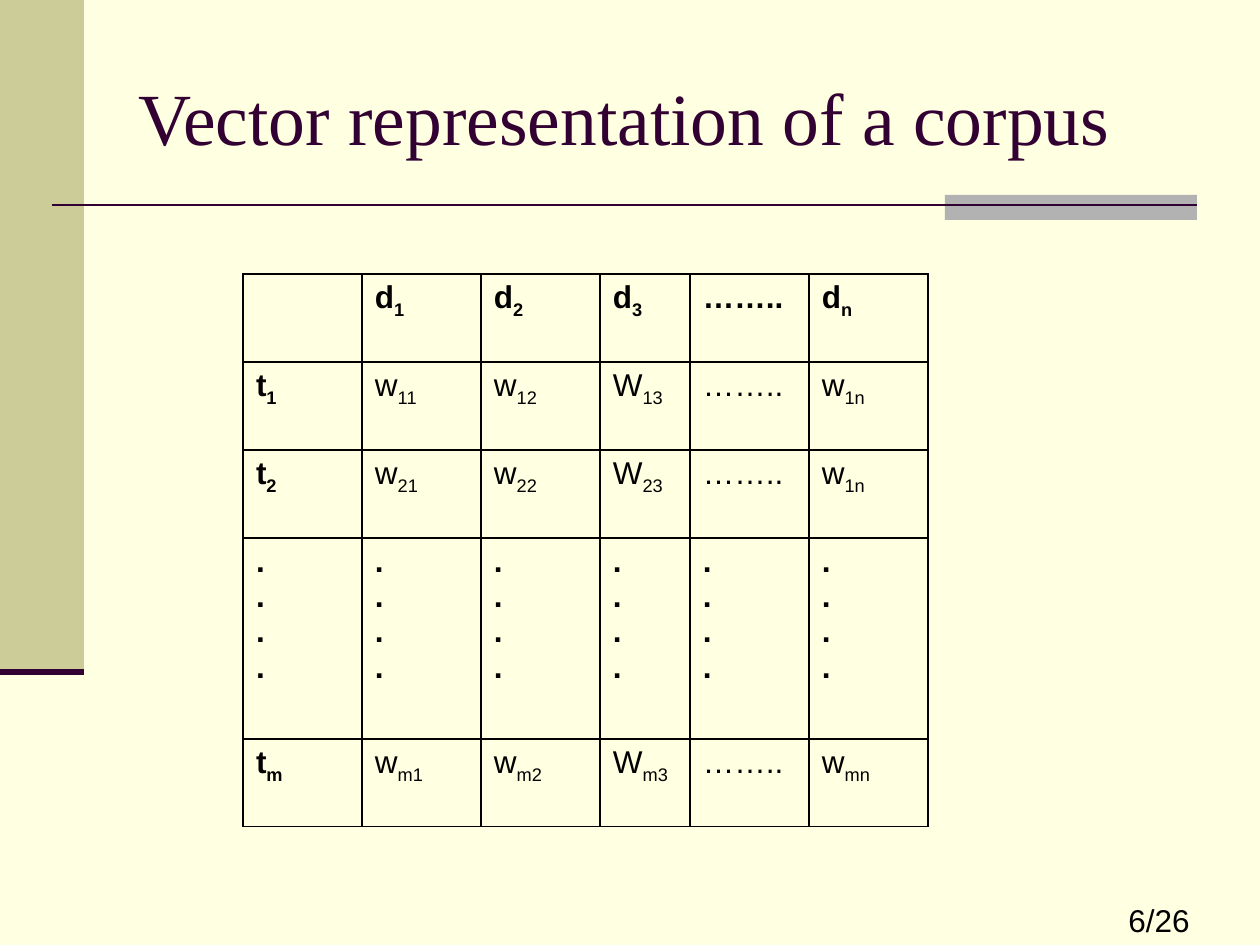
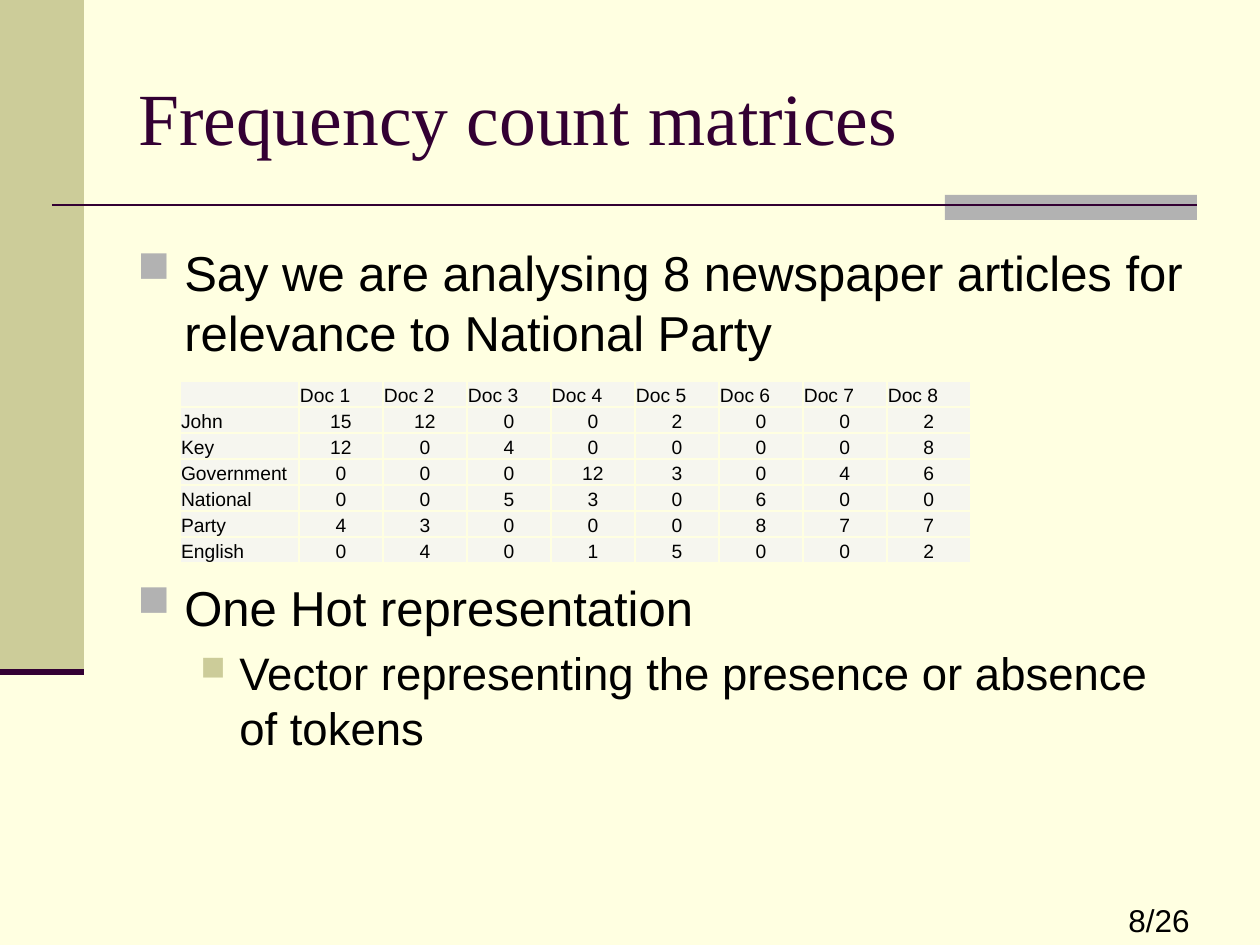
from dataclasses import dataclass
from lxml import etree
from pptx import Presentation
from pptx.dml.color import RGBColor
from pptx.enum.shapes import MSO_CONNECTOR, MSO_SHAPE
from pptx.enum.text import MSO_ANCHOR, PP_ALIGN
from pptx.oxml.ns import qn
from pptx.util import Pt

STRAIGHT = MSO_CONNECTOR.STRAIGHT
RECTANGLE = MSO_SHAPE.RECTANGLE
MIDDLE = MSO_ANCHOR.MIDDLE
TOP = MSO_ANCHOR.TOP
BOTTOM = MSO_ANCHOR.BOTTOM
CENTER = PP_ALIGN.CENTER
EMU_PER_PX = 914400 / 126


@dataclass(frozen=True)
class Theme:
    background: str = "FFFFE1"
    olive: str = "CCCC99"
    grey: str = "B2B2B2"
    plum: str = "330033"
    black: str = "000000"
    cell: str = "F6F6EF"
    title_font: str = "Times New Roman"
    body_font: str = "Arial"
    title_size: int = 42
    body_size: int = 28
    sub_size: int = 26
    label_size: int = 18
    count_size: int = 11


theme = Theme()


def px(length):
    return round(length * EMU_PER_PX)


def add_grid(slide, left, top, columns, rows, contents, size, border, fill, margins, anchor):
    frame = slide.shapes.add_table(len(rows), len(columns), px(left), px(top),
                                   px(sum(columns)), px(sum(rows)))
    table = frame.table
    table.first_row = False
    table.horz_banding = False
    for column, width in zip(table.columns, columns):
        column.width = px(width)
    for row, height, texts in zip(table.rows, rows, contents):
        row.height = px(height)
        for cell, text in zip(row.cells, texts):
            cell.margin_left, cell.margin_top, cell.margin_right, cell.margin_bottom = map(px, margins)
            cell.vertical_anchor = anchor
            properties = cell._tc.get_or_add_tcPr()
            for side in ("lnL", "lnR", "lnT", "lnB"):
                line = etree.SubElement(properties, qn(f"a:{side}"), w=str(Pt(1)))
                solid = etree.SubElement(line, qn("a:solidFill"))
                etree.SubElement(solid, qn("a:srgbClr"), val=border)
            if fill:
                cell.fill.solid()
                cell.fill.fore_color.rgb = RGBColor.from_string(fill)
            else:
                cell.fill.background()
            for index, line_text in enumerate(text.split("\n")):
                text_frame = cell.text_frame
                paragraph = text_frame.add_paragraph() if index else text_frame.paragraphs[0]
                base, _, subscript = line_text.partition("_")
                if base:
                    paragraph.add_run().text = base
                else:
                    etree.SubElement(paragraph._p, qn("a:endParaRPr"), sz=str(size * 100))
                if subscript:
                    run = paragraph.add_run()
                    run.text = subscript
                    run._r.get_or_add_rPr().set("baseline", "-25000")
                paragraph.font.size = Pt(size)
                paragraph.font.name = theme.body_font
                paragraph.font.color.rgb = RGBColor.from_string(theme.black)
    return table


presentation = Presentation()
presentation.slide_width = px(1260)
presentation.slide_height = px(945)

bands = [(0, 0, 84, 672, theme.olive), (945, 195, 252, 25, theme.grey)]
rules = [(52, 205, 1197, 205, 1.5), (0, 672, 84, 672, 3.5)]
pages = [("Vector representation of a corpus", "6/26"), ("Frequency count matrices", "8/26")]

for title, page in pages:
    slide = presentation.slides.add_slide(presentation.slide_layouts[6])
    slide.background.fill.solid()
    slide.background.fill.fore_color.rgb = RGBColor.from_string(theme.background)
    for left, top, width, height, color in bands:
        band = slide.shapes.add_shape(RECTANGLE, px(left), px(top), px(width), px(height))
        band.shadow.inherit = False
        band.fill.solid()
        band.fill.fore_color.rgb = RGBColor.from_string(color)
        band.line.fill.background()
    for left, top, right, bottom, weight in rules:
        rule = slide.shapes.add_connector(STRAIGHT, px(left), px(top), px(right), px(bottom))
        rule.line.color.rgb = RGBColor.from_string(theme.plum)
        rule.line.width = Pt(weight)
        etree.SubElement(rule._element.spPr, qn("a:effectLst"))
    labels = [
        (page, 1116, 895, 144, 50, TOP, theme.body_font, theme.label_size, theme.black),
        (title, 126, 38, 1071, 157, MIDDLE, theme.title_font, theme.title_size, theme.plum),
    ]
    for text, left, top, width, height, anchor, font, size, color in labels:
        box = slide.shapes.add_textbox(px(left), px(top), px(width), px(height))
        box.text_frame.word_wrap = True
        box.text_frame.vertical_anchor = anchor
        paragraph = box.text_frame.paragraphs[0]
        paragraph.text = text
        paragraph.font.name = font
        paragraph.font.size = Pt(size)
        paragraph.font.color.rgb = RGBColor.from_string(color)

corpus_slide, frequency_slide = presentation.slides

ellipsis = "…….."
vector_rows = [
    ["", "d_1", "d_2", "d_3", ellipsis, "d_n"],
    ["t_1", "w_11", "w_12", "W_13", ellipsis, "w_1n"],
    ["t_2", "w_21", "w_22", "W_23", ellipsis, "w_1n"],
    ["\n".join("....")] * 6,
    ["t_m", "w_m1", "w_m2", "W_m3", ellipsis, "w_mn"],
]
vectors = add_grid(corpus_slide, 243, 274, [119, 119, 119, 90, 119, 119], [88, 88, 88, 201, 88],
                   vector_rows, theme.label_size, theme.black, None, (13, 6, 13, 6), TOP)
for row_index, row in enumerate(vectors.rows):
    for column_index, cell in enumerate(row.cells):
        for paragraph in cell.text_frame.paragraphs:
            paragraph.font.bold = row_index in (0, 3) or column_index == 0

points = [
    ("Say we are analysing 8 newspaper articles for relevance to National Party",
     0, 47, 47, theme.grey, 90, theme.body_size, 34, 0),
    ("One Hot representation", 0, 47, 47, theme.grey, 90, theme.body_size, 34, 123),
    ("Vector representing the presence or absence of tokens",
     1, 102, 39, theme.olive, 75, theme.sub_size, 31.5, 5),
]
body = frequency_slide.shapes.add_textbox(px(125), px(236), px(1072), px(622))
body.text_frame.word_wrap = True
for index, (text, level, indent, hanging, color, scale, size, pitch, before) in enumerate(points):
    paragraph = body.text_frame.add_paragraph() if index else body.text_frame.paragraphs[0]
    paragraph.text = text
    paragraph.level = level
    paragraph.line_spacing = Pt(pitch)
    paragraph.space_before = Pt(before)
    properties = paragraph._p.get_or_add_pPr()
    properties.set("marL", str(px(indent)))
    properties.set("indent", str(-px(hanging)))
    bullet_color = etree.SubElement(properties, qn("a:buClr"))
    etree.SubElement(bullet_color, qn("a:srgbClr"), val=color)
    etree.SubElement(properties, qn("a:buSzPct"), val=str(scale * 1000))
    etree.SubElement(properties, qn("a:buChar"), char="■")
    paragraph.font.name = theme.body_font
    paragraph.font.size = Pt(size)
    paragraph.font.color.rgb = RGBColor.from_string(theme.black)

token_counts = {
    "John": [15, 12, 0, 0, 2, 0, 0, 2],
    "Key": [12, 0, 4, 0, 0, 0, 0, 8],
    "Government": [0, 0, 0, 12, 3, 0, 4, 6],
    "National": [0, 0, 5, 3, 0, 6, 0, 0],
    "Party": [4, 3, 0, 0, 0, 8, 7, 7],
    "English": [0, 4, 0, 1, 5, 0, 0, 2],
}
count_rows = [[""] + [f"Doc {number}" for number in range(1, 9)]]
count_rows += [[token, *map(str, counts)] for token, counts in token_counts.items()]
frequencies = add_grid(frequency_slide, 180, 381, [119] + [84] * 8, [26] * 7, count_rows,
                       theme.count_size, theme.background, theme.cell, (1, 1, 1, 0), BOTTOM)
for row_index in range(1, 7):
    for column_index in range(1, 9):
        frequencies.cell(row_index, column_index).text_frame.paragraphs[0].alignment = CENTER

presentation.save("out.pptx")
